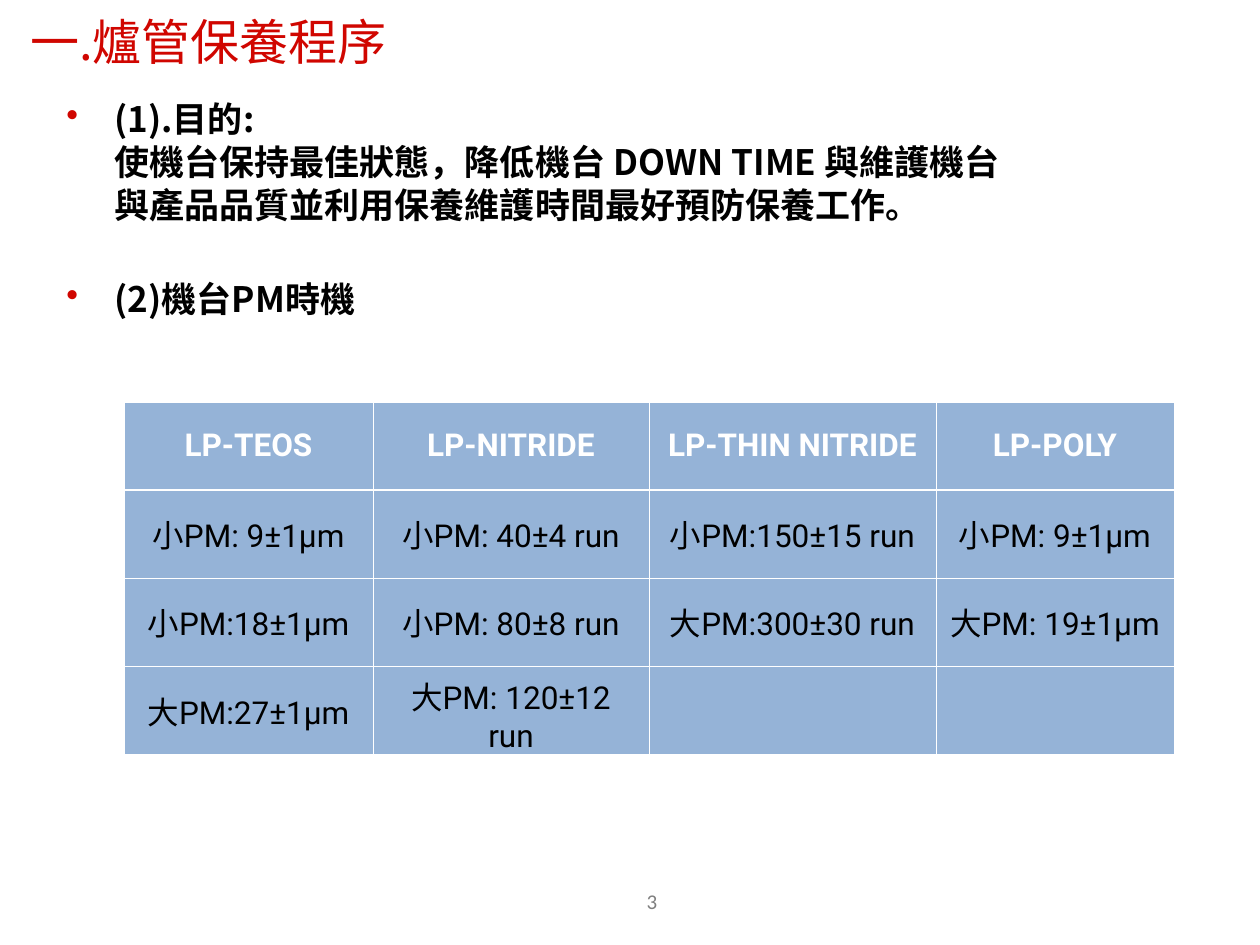
"""Build the furnace tube maintenance slide with its PM schedule table."""
from lxml.etree import SubElement
from pptx import Presentation
from pptx.dml.color import RGBColor
from pptx.enum.text import MSO_ANCHOR as Anchor, PP_ALIGN as Align
from pptx.oxml import parse_xml
from pptx.oxml.ns import nsdecls, qn
from pptx.util import Pt

PX = 7257
CJK = "Noto Sans CJK SC"
RED, BLACK, WHITE, GRAY, BLUE = "D00600", "000000", "FFFFFF", "7F7F7F", "95B3D7"


def color(value):
    return RGBColor.from_string(value)


def write(paragraph, text, font, size, fill, bold=False, align=Align.CENTER):
    paragraph.alignment = align
    run = paragraph.add_run()
    run.text = text
    for name, value in {"name": font, "size": Pt(size), "bold": bold}.items():
        setattr(run.font, name, value)
    run.font.color.rgb = color(fill)
    SubElement(run.font._element, qn("a:ea")).set("typeface", CJK)


presentation = Presentation()
presentation.slide_width, presentation.slide_height = 1260 * PX, 945 * PX
slide = presentation.slides.add_slide(presentation.slide_layouts[5])

title = slide.shapes.title
title_format = {"left": -5, "top": 3, "width": 427, "height": 76}
for name, value in title_format.items():
    setattr(title, name, value * PX)
frame_format = {"margin_left": 0, "margin_right": 0, "word_wrap": True,
                "vertical_anchor": Anchor.MIDDLE}
for name, value in frame_format.items():
    setattr(title.text_frame, name, value)
write(title.text_frame.paragraphs[0], "一.爐管保養程序", CJK, 28, RED)

body = slide.shapes.add_textbox(54 * PX, 96 * PX, 1134 * PX, 624 * PX)
body.text_frame.word_wrap = True
body_lines = [
    ("(1).目的:", True, 0),
    ("使機台保持最佳狀態，降低機台 DOWN TIME 與維護機台", False, 3),
    ("與產品品質並利用保養維護時間最好預防保養工作。", False, 3),
    ("(2)機台PM時機", True, 32),
]
for index, (text, bulleted, space) in enumerate(body_lines):
    frame = body.text_frame
    paragraph = frame.add_paragraph() if index else frame.paragraphs[0]
    properties = paragraph._p.get_or_add_pPr()
    properties.set("marL", str(48 * PX))
    properties.set("indent", str(-48 * PX if bulleted else 0))
    if bulleted:
        bullet_color = SubElement(properties, qn("a:buClr"))
        SubElement(bullet_color, qn("a:srgbClr")).set("val", RED)
        SubElement(properties, qn("a:buChar")).set("char", "•")
    paragraph.line_spacing = 0.9
    paragraph.space_before = Pt(space)
    write(paragraph, text, CJK, 20, BLACK, True, Align.LEFT)

number = slide.shapes.add_textbox(505 * PX, 876 * PX, 294 * PX, 50 * PX)
number.text_frame.word_wrap = True
number.text_frame.vertical_anchor = Anchor.MIDDLE
write(number.text_frame.paragraphs[0], "3", "Calibri", 12, GRAY)

schedule = [
    ["LP-TEOS", "LP-NITRIDE", "LP-THIN NITRIDE", "LP-POLY"],
    ["小PM: 9±1μm", "小PM: 40±4 run", "小PM:150±15 run", "小PM: 9±1μm"],
    ["小PM:18±1μm", "小PM: 80±8 run", "大PM:300±30 run", "大PM: 19±1μm"],
    ["大PM:27±1μm", "大PM: 120±12 run", "", ""],
]
column_widths = [249, 276, 287, 238]
table = slide.shapes.add_table(
    len(schedule), len(column_widths), 124 * PX, 402 * PX,
    sum(column_widths) * PX, 88 * len(schedule) * PX).table
for column, width in zip(table.columns, column_widths):
    column.width = width * PX
for row_index, row in enumerate(schedule):
    header = row_index == 0
    for column_index, text in enumerate(row):
        cell = table.cell(row_index, column_index)
        cell.vertical_anchor = Anchor.MIDDLE
        cell.fill.solid()
        cell.fill.fore_color.rgb = color(BLUE)
        heavy_side = {0: "B", 1: "T"}.get(row_index)
        for position, side in enumerate("LRTB"):
            width = Pt(1.47 if side == heavy_side else 0.45)
            border = parse_xml(
                f'<a:ln{side} {nsdecls("a")} w="{width}"><a:solidFill>'
                f'<a:srgbClr val="{WHITE}"/></a:solidFill></a:ln{side}>')
            cell._tc.get_or_add_tcPr().insert(position, border)
        if text:
            write(cell.text_frame.paragraphs[0], text, "Roboto", 18,
                  WHITE if header else BLACK, header)

presentation.save("out.pptx")
